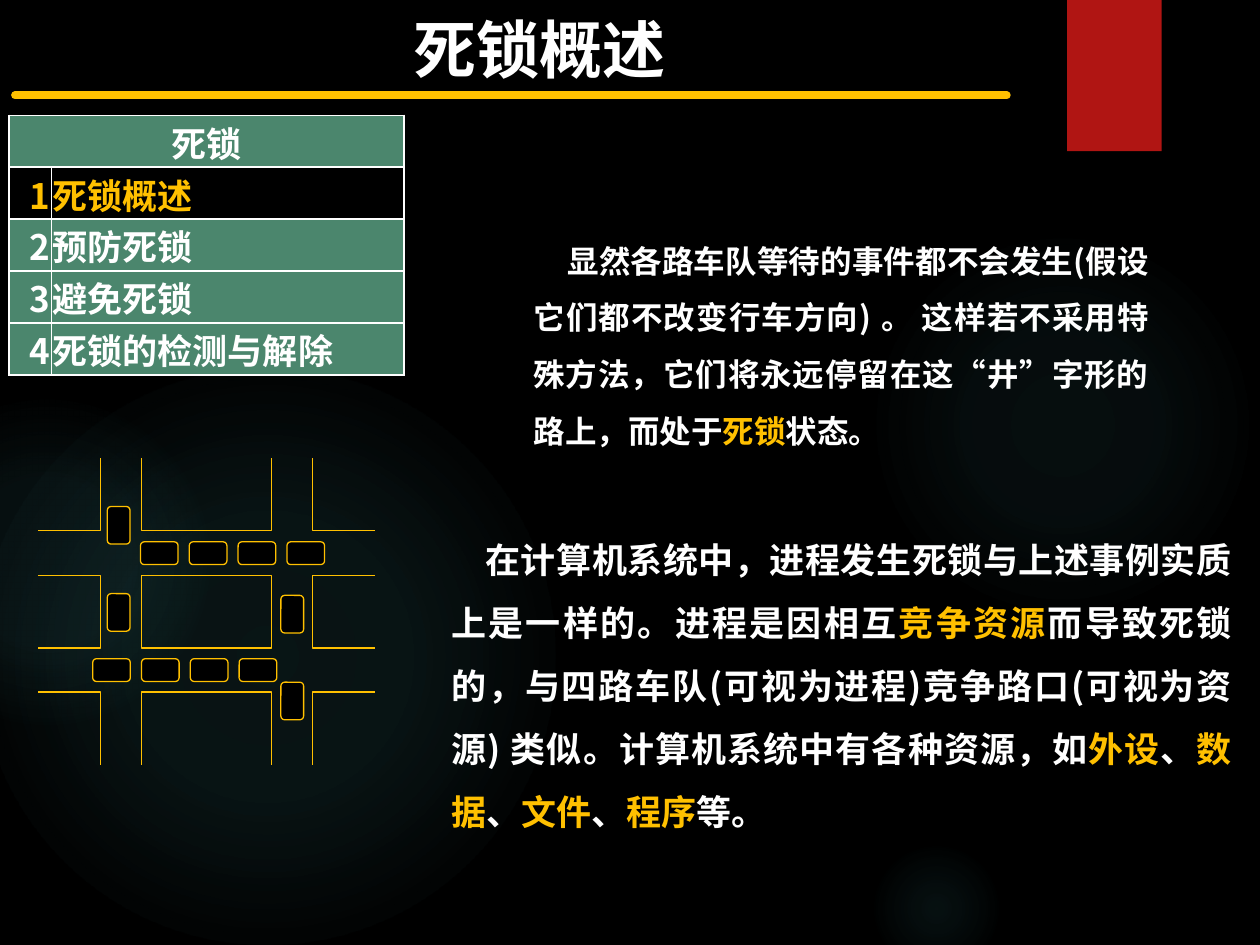
from dataclasses import dataclass

from lxml.etree import SubElement
from pptx import Presentation
from pptx.dml.color import RGBColor
from pptx.enum.shapes import MSO_CONNECTOR, MSO_SHAPE
from pptx.enum.text import MSO_ANCHOR as Anchor, PP_ALIGN as Align
from pptx.oxml import parse_xml
from pptx.oxml.ns import nsdecls, qn
from pptx.util import Pt

FONT = "Noto Sans CJK SC"
BLACK, WHITE, AMBER, GREEN, RED, GLOW = (
    "000000", "FFFFFF", "FFC000", "4B866D", "B01513", "50B9C1")


@dataclass
class Glow:
    """A soft round light; stops are (position %, opacity %)."""
    left: float
    top: float
    size: float
    stops: tuple


@dataclass
class Car:
    left: float
    top: float
    width: float
    height: float


GLOWS = [
    Glow(496, 131.8, 221.8, ((0, 7), (36, 6), (69, 0))),
    Glow(496, 480.2, 77.8, ((0, 9), (36, 5), (66, 0))),
    Glow(-12.2, 210.2, 329.8, ((0, 11), (36, 10), (75, 0))),
    Glow(-66.2, 228.2, 185.8, ((0, 8), (36, 8), (72, 0))),
]

TOPICS = ["死锁概述", "预防死锁", "避免死锁", "死锁的检测与解除"]

# Edges of the two crossing pairs of roads
ROAD_X = [21.6, 57.6, 80.9, 155.1, 178.6, 214.4]
ROAD_Y = [261.7, 303.1, 328.8, 370.3, 395.4, 437]
# Kerbs as (column, row) indexes into the road edges
KERBS = [
    [(0, 1), (1, 1), (1, 0)],
    [(2, 0), (2, 1), (3, 1), (3, 0)],
    [(5, 1), (4, 1), (4, 0)],
    [(0, 4), (1, 4), (1, 5)],
    [(2, 5), (2, 4), (3, 4), (3, 5)],
    [(5, 4), (4, 4), (4, 5)],
    [(0, 2), (1, 2), (1, 3), (0, 3)],
    [(5, 2), (4, 2), (4, 3), (5, 3)],
]

CAR_LENGTH, CAR_WIDTH, CAR_STEP = 21.5, 13, 27.9
CARS = [Car(left + i * CAR_STEP, top, CAR_LENGTH, CAR_WIDTH)
        for left, top in ((80.3, 309.6), (53, 376.4)) for i in range(4)]
CARS += [Car(x - CAR_WIDTH / 2, y - CAR_LENGTH / 2, CAR_WIDTH, CAR_LENGTH)
         for x, y in ((67.8, 350), (67.8, 300.2), (167, 400.6), (167, 351))]

ROADS_TEXT = [
    ("显然各路车队等待的事件都不会发生(假设它们都不改变行车方向) 。 这样若不采用"
     "特殊方法，它们将永远停留在这“井”字形的路上，而处于", WHITE),
    ("死锁", AMBER), ("状态。", WHITE),
]
SYSTEM_TEXT = [
    ("在计算机系统中，进程发生死锁与上述事例实质上是一样的。进程是因相互", WHITE),
    ("竞争资源", AMBER),
    ("而导致死锁的，与四路车队(可视为进程)竞争路口(可视为资源) 类似。"
     "计算机系统中有各种资源，如", WHITE),
    ("外设", AMBER), ("、", WHITE), ("数据", AMBER), ("、", WHITE),
    ("文件", AMBER), ("、", WHITE), ("程序", AMBER), ("等。", WHITE),
]


def rgb(value: str) -> RGBColor:
    return RGBColor.from_string(value)


def write(frame, spans: list, *, size: float, align=Align.LEFT,
          spacing: float = 1, indent: float = 0) -> None:
    """Fill the first paragraph with bold (text, colour) spans."""
    frame.word_wrap = True
    para = frame.paragraphs[0]
    para.alignment = align
    para.line_spacing = spacing
    para.space_before = Pt(0)
    properties = para._p.get_or_add_pPr()
    properties.set("hangingPunct", "0")
    if indent:
        properties.set("indent", str(Pt(indent)))
    for text, colour in spans:
        span = para.add_run()
        span.text = text
        font = span.font
        font.name, font.size, font.bold = FONT, Pt(size), True
        font.color.rgb = rgb(colour)
        SubElement(span._r.rPr, qn("a:ea")).set("typeface", FONT)


def style(shape, fill: str = "", line: str = "") -> None:
    shape.shadow.inherit = False
    if fill:
        shape.fill.solid()
        shape.fill.fore_color.rgb = rgb(fill)
    else:
        shape.fill.background()
    if line:
        shape.line.color.rgb = rgb(line)
        shape.line.width = Pt(0.75)
    else:
        shape.line.fill.background()


def draw_glow(page, glow: Glow) -> None:
    shape = page.shapes.add_shape(MSO_SHAPE.OVAL, Pt(glow.left), Pt(glow.top),
                                  Pt(glow.size), Pt(glow.size))
    style(shape)
    stops = "".join(
        f'<a:gs pos="{place * 1000}"><a:srgbClr val="{GLOW}">'
        f'<a:alpha val="{opacity * 1000}"/></a:srgbClr></a:gs>'
        for place, opacity in glow.stops)
    gradient = parse_xml(
        f'<a:gradFill {nsdecls("a")}><a:gsLst>{stops}</a:gsLst>'
        '<a:path path="circle"><a:fillToRect l="50000" t="50000" r="50000" b="50000"/>'
        '</a:path></a:gradFill>')
    properties = shape._element.spPr
    properties.replace(properties.find(qn("a:noFill")), gradient)


def draw_title_rule(page) -> None:
    rule = page.shapes.add_connector(MSO_CONNECTOR.STRAIGHT,
                                     Pt(8.6), Pt(54.5), Pt(575.3), Pt(54.5))
    rule.line.color.rgb = rgb(AMBER)
    rule.line.width = Pt(4.5)
    rule.line._ln.set("cap", "rnd")
    SubElement(rule._element.spPr, qn("a:effectLst"))


def fill_cell(cell, text: str, fill: str, colour: str, align) -> None:
    cell.margin_left = cell.margin_right = cell.margin_top = Pt(0.6)
    cell.margin_bottom = Pt(0)
    cell.vertical_anchor = Anchor.MIDDLE
    if text:
        write(cell.text_frame, [(text, colour)], size=20, align=align)
    properties = cell._tc.get_or_add_tcPr()
    for side in ("lnL", "lnR", "lnT", "lnB"):
        properties.append(parse_xml(
            f'<a:{side} {nsdecls("a")} w="12700"><a:solidFill>'
            f'<a:srgbClr val="{WHITE}"/></a:solidFill></a:{side}>'))
    cell.fill.solid()
    cell.fill.fore_color.rgb = rgb(fill)


def draw_topics(page, current: int) -> None:
    rows = len(TOPICS) + 1
    height = 24.6
    table = page.shapes.add_table(rows, 2, Pt(5.2), Pt(65.9), Pt(225.8),
                                  Pt(rows * height)).table
    for column, width in zip(table.columns, (24.3, 201.5)):
        column.width = Pt(width)
    fill_cell(table.cell(0, 0), "死锁", GREEN, WHITE, Align.CENTER)
    fill_cell(table.cell(0, 1), "", GREEN, WHITE, Align.CENTER)
    table.cell(0, 0).merge(table.cell(0, 1))
    for number, topic in enumerate(TOPICS, 1):
        fill, colour = (BLACK, AMBER) if number == current else (GREEN, WHITE)
        fill_cell(table.cell(number, 0), str(number), fill, colour, Align.RIGHT)
        fill_cell(table.cell(number, 1), topic, fill, colour, Align.LEFT)


def draw_crossroads(page) -> None:
    shapes = page.shapes.add_group_shape().shapes
    block = shapes.add_shape(
        MSO_SHAPE.RECTANGLE, Pt(ROAD_X[2]), Pt(ROAD_Y[2]),
        Pt(ROAD_X[3] - ROAD_X[2]), Pt(ROAD_Y[3] - ROAD_Y[2]))
    style(block, line=AMBER)
    for kerb in KERBS:
        start, *others = [(Pt(ROAD_X[x]), Pt(ROAD_Y[y])) for x, y in kerb]
        builder = shapes.build_freeform(*start)
        builder.add_line_segments(others, close=False)
        style(builder.convert_to_shape(), line=AMBER)
    for car in CARS:
        body = shapes.add_shape(MSO_SHAPE.ROUNDED_RECTANGLE, Pt(car.left),
                                Pt(car.top), Pt(car.width), Pt(car.height))
        style(body, BLACK, AMBER)


def draw_text(page, left: float, top: float, width: float, height: float,
              spans: list, size: float) -> None:
    box = page.shapes.add_textbox(Pt(left), Pt(top), Pt(width), Pt(height))
    write(box.text_frame, spans, size=size, align=Align.JUSTIFY,
          spacing=1.5, indent=19.4)


def main() -> None:
    deck = Presentation()
    deck.slide_width, deck.slide_height = Pt(720), Pt(540)
    page = deck.slides.add_slide(deck.slide_layouts[5])
    page.background.fill.solid()
    page.background.fill.fore_color.rgb = rgb(BLACK)

    title = page.shapes.title
    title.left, title.top, title.width, title.height = (
        Pt(1.2), Pt(2.2), Pt(614.2), Pt(51.1))
    title.text_frame.vertical_anchor = Anchor.MIDDLE
    write(title.text_frame, [("死锁概述", WHITE)], size=36, align=Align.CENTER)

    for glow in GLOWS:
        draw_glow(page, glow)
    ribbon = page.shapes.add_shape(MSO_SHAPE.RECTANGLE, Pt(609.8), Pt(0), Pt(54), Pt(86.4))
    style(ribbon, RED)
    draw_title_rule(page)
    draw_topics(page, current=1)
    draw_crossroads(page)
    draw_text(page, 297.8, 123.8, 365.8, 137.5, ROADS_TEXT, 18)
    draw_text(page, 250.9, 292.3, 460.1, 188.6, SYSTEM_TEXT, 20)
    deck.save("out.pptx")


if __name__ == "__main__":
    main()
